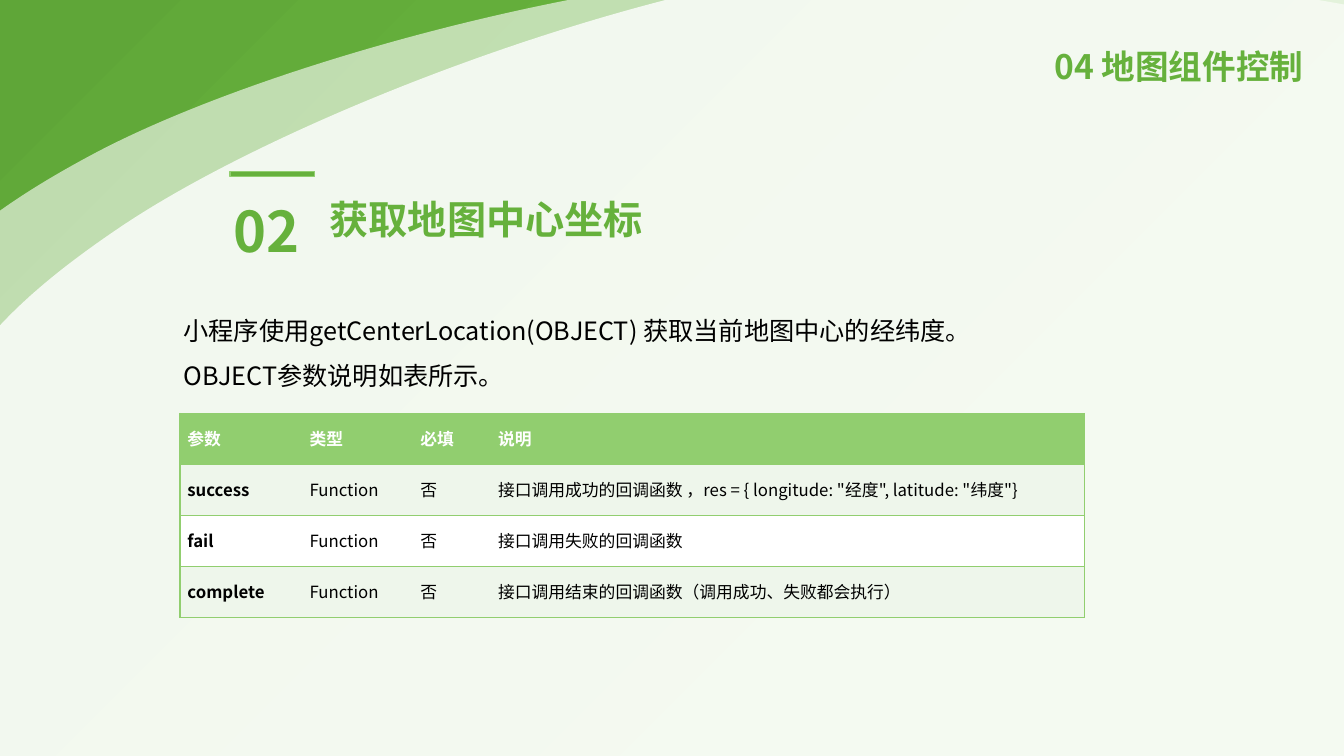
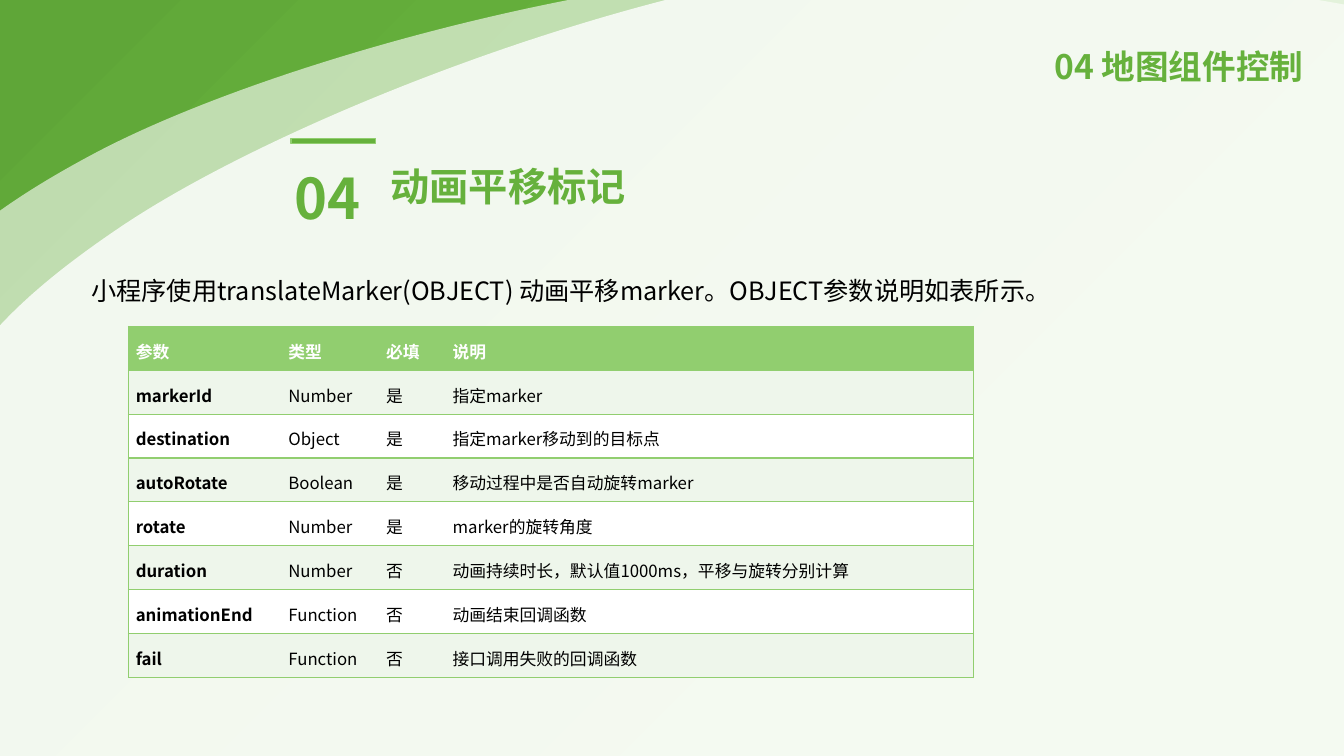
import lxml.etree
import pptx
import pptx.dml.color
import pptx.enum.shapes
import pptx.enum.text
import pptx.oxml
import pptx.oxml.ns
import pptx.util

Pt = pptx.util.Pt
qn = pptx.oxml.ns.qn

WIDTH, HEIGHT = 960, 540
FONT = "Noto Sans CJK SC"
GREEN, LIGHT_GREEN, PALE_GREEN = "66B13C", "91CE6F", "EEF6EB"
WHITE, BLACK = "FFFFFF", "000000"
GRADIENT = [(0, "7DC555"), (23, "7DC555"), (69, GREEN), (97, "5FA638")]
CHAPTER = "04 地图组件控制"
TABLE_HEADER = ("参数", "类型", "必填", "说明")

WAVE_SIZE = (1471.7, 715)
WAVE_START = (41.8, 304.6)
WAVE_CURVES = [
    ((65.6, 238.3), (95.1, 193), (208.1, 133.2)),
    ((320.4, 74.2), (545.1, 10.1), (724.4, 1.5)),
    ((904.4, -7.2), (1172.9, 23.8), (1285.2, 83.5)),
    ((1398.3, 142.6), (1526.4, 324), (1448, 417.6)),
    ((1368.8, 511.9), (954.8, 694.8), (724.4, 713.5)),
    ((494, 732.3), (176.4, 589.7), (64.1, 529.9)),
    ((-48.9, 470.9), (18, 370.8), WAVE_START),
]
WAVES = [
    {"at": (-139, -24.5), "rotation": 0, "opacity": 60},
    {"at": (-99.4, -28.1), "rotation": -5.9, "opacity": 80},
]

SLIDES = [
    {
        "number": "02",
        "title": "获取地图中心坐标",
        "heading_at": (164.2, 122.4),
        "body": [
            "小程序使用getCenterLocation(OBJECT) 获取当前地图中心的经纬度。",
            "OBJECT参数说明如表所示。",
        ],
        "body_box": (103, 210.7, 638, 73),
        "body_indent": 21,
        "table_at": (128.6, 295.4),
        "columns": (87.2, 79.2, 55.5, 424),
        "row_height": 36.5,
        "rows": [
            ("success", "Function", "否",
             '接口调用成功的回调函数 ，res = { longitude: "经度", latitude: "纬度"}'),
            ("fail", "Function", "否", "接口调用失败的回调函数"),
            ("complete", "Function", "否", "接口调用结束的回调函数（调用成功、失败都会执行）"),
        ],
    },
    {
        "number": "04",
        "title": "动画平移标记",
        "heading_at": (207.8, 98.8),
        "body": ["小程序使用translateMarker(OBJECT) 动画平移marker。OBJECT参数说明如表所示。"],
        "body_box": (58.2, 182.6, 842, 40),
        "body_indent": 0,
        "table_at": (91.7, 233.2),
        "columns": (109, 69.8, 47.5, 377.3),
        "row_height": 31.34,
        "rows": [
            ("markerId", "Number", "是", "指定marker"),
            ("destination", "Object", "是", "指定marker移动到的目标点"),
            ("autoRotate", "Boolean", "是", "移动过程中是否自动旋转marker"),
            ("rotate", "Number", "是", "marker的旋转角度"),
            ("duration", "Number", "否", "动画持续时长，默认值1000ms，平移与旋转分别计算"),
            ("animationEnd", "Function", "否", "动画结束回调函数"),
            ("fail", "Function", "否", "接口调用失败的回调函数"),
        ],
    },
]


def rgb(value):
    return pptx.dml.color.RGBColor.from_string(value)


def fill_solid(target, value):
    target.fill.solid()
    target.fill.fore_color.rgb = rgb(value)


def style_paragraph(paragraph, size, color, bold=False, spacing=1.5):
    paragraph.line_spacing = spacing
    for run in paragraph.runs:
        run.font.size = Pt(size)
        run.font.bold = bold
        run.font.color.rgb = rgb(color)
        run.font.name = FONT
        east_asian = lxml.etree.SubElement(run.font._element, qn("a:ea"))
        east_asian.set("typeface", FONT)


def add_text(slide, box, lines, size, color, bold=False, spacing=1.5, wrap=True):
    shape = slide.shapes.add_textbox(*map(Pt, box))
    text_frame = shape.text_frame
    text_frame.word_wrap = wrap
    text_frame.auto_size = pptx.enum.text.MSO_AUTO_SIZE.SHAPE_TO_FIT_TEXT
    text_frame.text = "\n".join(lines)
    for paragraph in text_frame.paragraphs:
        style_paragraph(paragraph, size, color, bold, spacing)
    return shape


def add_rectangle(slide, box):
    shape = slide.shapes.add_shape(
        pptx.enum.shapes.MSO_SHAPE.RECTANGLE, *map(Pt, box))
    shape.shadow.inherit = False
    return shape


def add_backdrop(slide):
    backdrop = add_rectangle(slide, (0, 0, WIDTH, HEIGHT))
    backdrop.line.fill.background()
    backdrop.fill.background()
    stops = "".join(
        f'<a:gs pos="{position * 1000}"><a:srgbClr val="{color}"/></a:gs>'
        for position, color in GRADIENT)
    gradient = pptx.oxml.parse_xml(
        f'<a:gradFill {pptx.oxml.ns.nsdecls("a")} rotWithShape="1"><a:gsLst>{stops}</a:gsLst>'
        '<a:path path="circle"><a:fillToRect l="100000" t="100000"/></a:path></a:gradFill>')
    properties = backdrop.element.spPr
    properties.replace(properties.find(qn("a:noFill")), gradient)
    return backdrop


def add_command(outline, tag, points=()):
    command = lxml.etree.SubElement(outline, qn(tag))
    for x, y in points:
        lxml.etree.SubElement(command, qn("a:pt"), x=str(Pt(x)), y=str(Pt(y)))


def bend_outline(shape):
    outline = next(shape.element.iter(qn("a:path")))
    for command in list(outline):
        outline.remove(command)
    outline.set("w", str(Pt(WAVE_SIZE[0])))
    outline.set("h", str(Pt(WAVE_SIZE[1])))
    add_command(outline, "a:moveTo", [WAVE_START])
    for curve in WAVE_CURVES:
        add_command(outline, "a:cubicBezTo", curve)
    add_command(outline, "a:close")


def add_wave(slide, wave):
    builder = slide.shapes.build_freeform(*map(Pt, WAVE_START), scale=1.0)
    builder.add_line_segments([tuple(map(Pt, curve[-1])) for curve in WAVE_CURVES])
    shape = builder.convert_to_shape()
    bend_outline(shape)
    shape.left, shape.top = map(Pt, wave["at"])
    shape.width, shape.height = map(Pt, WAVE_SIZE)
    shape.rotation = wave["rotation"]
    shape.shadow.inherit = False
    shape.line.fill.background()
    fill_solid(shape, WHITE)
    color = shape.element.spPr.find(qn("a:solidFill")).find(qn("a:srgbClr"))
    lxml.etree.SubElement(color, qn("a:alpha")).set("val", str(wave["opacity"] * 1000))
    return shape


def decorate_layout(layout, slide):
    shapes = [add_backdrop(slide)] + [add_wave(slide, wave) for wave in WAVES]
    for shape in shapes:
        layout.shapes.element.append(shape.element)


def add_chapter(slide):
    shape = add_text(slide, (520.2, 20.5, 417.8, 57), [CHAPTER], 24, GREEN, True, 0.9)
    shape.text_frame.auto_size = pptx.enum.text.MSO_AUTO_SIZE.NONE
    shape.text_frame.vertical_anchor = pptx.enum.text.MSO_ANCHOR.MIDDLE
    shape.text_frame.paragraphs[0].alignment = pptx.enum.text.PP_ALIGN.RIGHT


def add_heading(slide, number, title, left, top):
    bar = add_rectangle(slide, (left, top, 60.5, 3.6))
    fill_solid(bar, GREEN)
    bar.line.color.rgb = rgb(LIGHT_GREEN)
    bar.line.width = Pt(1)
    title_box = (left + 64.2, top + 3.6, 28 * len(title) + 16.4, 50)
    add_text(slide, title_box, [title], 28, GREEN, True, 1.3, wrap=False)
    add_text(slide, (left - 4.6, top, 64, 64), [number], 40, GREEN, True, 1.3, wrap=False)


def set_borders(cell, is_first, is_last):
    properties = cell._tc.get_or_add_tcPr()
    visible = {"lnL": is_first, "lnR": is_last, "lnT": True, "lnB": True}
    for side, shown in visible.items():
        line = lxml.etree.SubElement(properties, qn(f"a:{side}"), w=str(Pt(1)))
        if shown:
            fill = lxml.etree.SubElement(line, qn("a:solidFill"))
            lxml.etree.SubElement(fill, qn("a:srgbClr"), val=LIGHT_GREEN)
        else:
            lxml.etree.SubElement(line, qn("a:noFill"))


def add_parameter_table(slide, left, top, columns, row_height, rows):
    rows = [TABLE_HEADER, *rows]
    table = slide.shapes.add_table(
        len(rows), len(columns), Pt(left), Pt(top),
        Pt(sum(columns)), Pt(row_height * len(rows))).table
    for column, width in zip(table.columns, columns):
        column.width = Pt(width)
    for row_index, values in enumerate(rows):
        table.rows[row_index].height = Pt(row_height)
        is_header = row_index == 0
        background = LIGHT_GREEN if is_header else PALE_GREEN if row_index % 2 else WHITE
        for column_index, value in enumerate(values):
            cell = table.cell(row_index, column_index)
            cell.margin_left = cell.margin_right = Pt(5.3)
            cell.margin_top = cell.margin_bottom = Pt(0)
            set_borders(cell, column_index == 0, column_index == len(columns) - 1)
            fill_solid(cell, background)
            cell.text = value
            style_paragraph(cell.text_frame.paragraphs[0], 12,
                            WHITE if is_header else BLACK,
                            is_header or column_index == 0)


def add_body(slide, lines, box, indent):
    shape = add_text(slide, box, lines, 18, BLACK)
    for paragraph in shape.text_frame.paragraphs:
        properties = paragraph._p.get_or_add_pPr()
        properties.set("marL", "0")
        properties.set("indent", str(Pt(indent)))


def main():
    presentation = pptx.Presentation()
    presentation.slide_width, presentation.slide_height = Pt(WIDTH), Pt(HEIGHT)
    layout = presentation.slide_layouts[6]
    for index, content in enumerate(SLIDES):
        slide = presentation.slides.add_slide(layout)
        if index == 0:
            decorate_layout(layout, slide)
        add_chapter(slide)
        add_heading(slide, content["number"], content["title"], *content["heading_at"])
        add_body(slide, content["body"], content["body_box"], content["body_indent"])
        add_parameter_table(slide, *content["table_at"], content["columns"],
                            content["row_height"], content["rows"])
    presentation.save("out.pptx")


if __name__ == "__main__":
    main()
